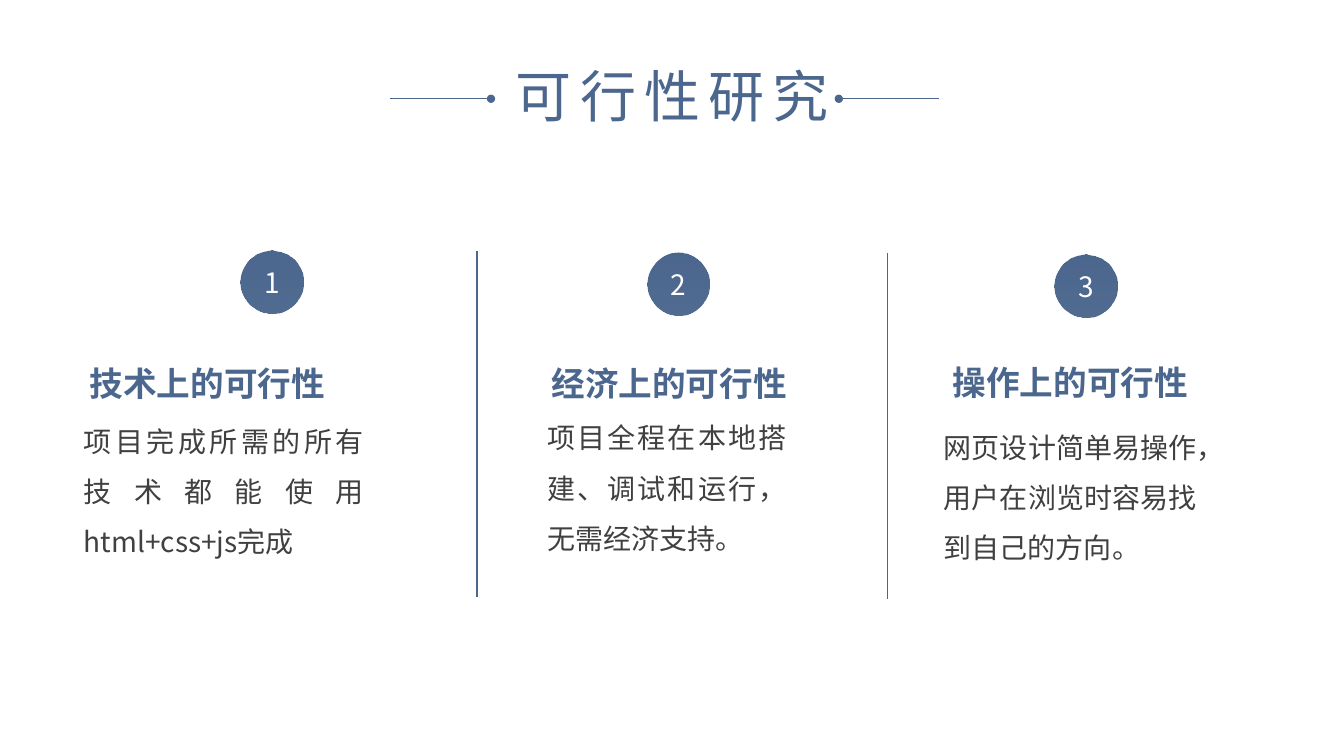
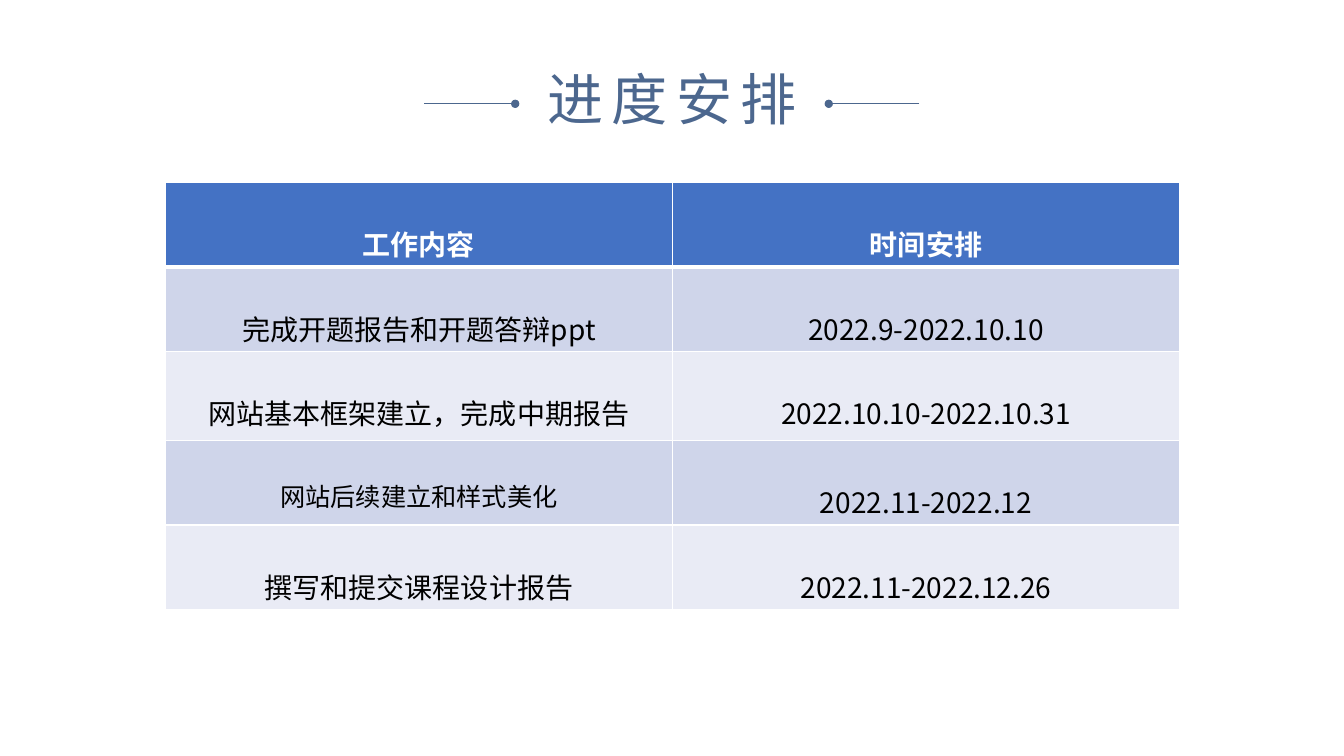
"""Build two slides: a feasibility study in three columns and a schedule table."""
import pptx
import pptx.dml.color
import pptx.enum.lang
import pptx.enum.shapes
import pptx.enum.text
import pptx.oxml
import pptx.oxml.ns
import pptx.util

Inches = pptx.util.Inches
Pt = pptx.util.Pt
Align = pptx.enum.text.PP_ALIGN
qn = pptx.oxml.ns.qn

FONT = "Noto Sans CJK SC"
BLUE = "4C678E"
GRAY = "404040"
WHITE = "FFFFFF"
BLACK = "000000"
HEADER_FILL = "4472C4"
BAND_FILLS = ("CFD5EA", "E9EBF5")

CIRCLE_SIZE = 0.62
COLUMNS = [
    {"circle": (2.39, 2.49), "heading": (0.89, 3.4, 2.75), "body": (0.83, 4.04, 2.78),
     "title": "技术上的可行性", "text": "项目完成所需的所有技术都能使用html+css+js完成"},
    {"circle": (6.42, 2.51), "heading": (5.47, 3.4, 2.58), "body": (5.43, 4.01, 2.37),
     "title": "经济上的可行性", "text": "项目全程在本地搭建、调试和运行，无需经济支持。"},
    {"circle": (10.46, 2.53), "heading": (9.45, 3.39, 2.36), "body": (9.36, 4.1, 2.51),
     "title": "操作上的可行性", "text": "网页设计简单易操作，用户在浏览时容易找到自己的方向。"},
]
DIVIDERS = [(4.73, 2.49), (8.8, 2.51)]
DIVIDER_HEIGHT = 3.43

SCHEDULE = [
    ("工作内容", "时间安排"),
    ("完成开题报告和开题答辩ppt", "2022.9-2022.10.10"),
    ("网站基本框架建立，完成中期报告", "2022.10.10-2022.10.31"),
    ("网站后续建立和样式美化", "2022.11-2022.12"),
    ("撰写和提交课程设计报告", "2022.11-2022.12.26"),
]
ROW_HEIGHTS = (0.84, 0.84, 0.88, 0.84, 0.84)
COLUMN_WIDTH = 5.03
SMALLER_CELL = (3, 0)


def color(value):
    """Turn a hex string into a colour."""
    return pptx.dml.color.RGBColor.from_string(value)


def add_child(parent, tag, **attributes):
    """Append an XML element with the given attributes."""
    child = pptx.oxml.parse_xml(f"<{tag} {pptx.oxml.ns.nsdecls('a')}/>")
    for name, value in attributes.items():
        child.set(name, str(value))
    parent.append(child)
    return child


def write(frame, text, size, text_color, alignment, bold=False, line_spacing=None, tracking=0):
    """Write one run into the first paragraph of a text frame."""
    paragraph = frame.paragraphs[0]
    paragraph.alignment = alignment
    if line_spacing:
        paragraph.line_spacing = line_spacing
    run = paragraph.add_run()
    run.text = text
    font = run.font
    font.size = Pt(size)
    font.bold = bold
    font.color.rgb = color(text_color)
    font.name = FONT
    font.language_id = pptx.enum.lang.MSO_LANGUAGE_ID.SIMPLIFIED_CHINESE
    properties = run._r.get_or_add_rPr()
    add_child(properties, "a:ea", typeface=FONT)
    if tracking:
        properties.set("spc", str(tracking * 100))


def set_margins(frame, margin):
    """Give a text frame the same margin on every side."""
    frame.margin_left = frame.margin_right = Inches(margin)
    frame.margin_top = frame.margin_bottom = Inches(margin)


def add_text(slide, left, top, width, height):
    """Add a wrapping text box and return its frame."""
    box = slide.shapes.add_textbox(Inches(left), Inches(top), Inches(width), Inches(height))
    frame = box.text_frame
    frame.word_wrap = True
    frame.auto_size = pptx.enum.text.MSO_AUTO_SIZE.SHAPE_TO_FIT_TEXT
    return frame


def add_line(slide, start, end, width, dot=False):
    """Add a straight line, with a dot at its end when asked."""
    connector = slide.shapes.add_connector(
        pptx.enum.shapes.MSO_CONNECTOR.STRAIGHT, *(Inches(value) for value in start + end))
    connector.line.color.rgb = color(BLUE)
    connector.line.width = Pt(width)
    if dot:
        add_child(connector.line._get_or_add_ln(), "a:tailEnd", type="oval")
    add_child(connector._element.spPr, "a:effectLst")


def add_title(slide, text, left, top, width, line_y, line_spans):
    """Add the slide title between two dotted lines."""
    frame = add_text(slide, left, top, width, 0.77)
    write(frame, text, 40, BLUE, Align.CENTER, tracking=6)
    for outer, inner in line_spans:
        add_line(slide, (outer, line_y), (inner, line_y), 0.5, dot=True)


def add_number(slide, number, left, top):
    """Add a numbered circle with a slight gradient."""
    circle = slide.shapes.add_shape(
        pptx.enum.shapes.MSO_SHAPE.OVAL, Inches(left), Inches(top),
        Inches(CIRCLE_SIZE), Inches(CIRCLE_SIZE))
    circle.shadow.inherit = False
    circle.line.fill.background()
    circle.fill.gradient()
    circle.fill.gradient_angle = 270
    for stop in circle.fill.gradient_stops:
        stop.color.rgb = color(BLUE)
    last_color = list(circle._element.spPr.iter(qn("a:srgbClr")))[-1]
    add_child(last_color, "a:alpha", val=97000)
    frame = circle.text_frame
    frame.vertical_anchor = pptx.enum.text.MSO_ANCHOR.MIDDLE
    write(frame, str(number), 20, WHITE, Align.CENTER)


def add_column(slide, number, column):
    """Add a numbered column with heading and body."""
    add_number(slide, number, *column["circle"])
    heading = add_text(slide, *column["heading"], 0.61)
    body = add_text(slide, *column["body"], 1.51)
    for frame in (heading, body):
        set_margins(frame, 0)
    write(heading, column["title"], 24, BLUE, Align.JUSTIFY, bold=True, line_spacing=1.5)
    write(body, column["text"], 20, GRAY, Align.JUSTIFY, line_spacing=1.5)


def set_borders(cell, top, bottom):
    """Draw white borders round a cell, widths in points."""
    properties = cell._tc.get_or_add_tcPr()
    for side, width in (("L", 1), ("R", 1), ("T", top), ("B", bottom)):
        line = add_child(properties, f"a:ln{side}", w=Pt(width))
        add_child(add_child(line, "a:solidFill"), "a:srgbClr", val=WHITE)


def add_schedule(slide, left, top):
    """Add the schedule table with a header and banded rows."""
    shape = slide.shapes.add_table(
        len(SCHEDULE), 2, Inches(left), Inches(top),
        Inches(2 * COLUMN_WIDTH), Inches(sum(ROW_HEIGHTS)))
    table = shape.table
    for column in table.columns:
        column.width = Inches(COLUMN_WIDTH)
    for row_index, texts in enumerate(SCHEDULE):
        table.rows[row_index].height = Inches(ROW_HEIGHTS[row_index])
        header = row_index == 0
        for column_index, text in enumerate(texts):
            cell = table.cell(row_index, column_index)
            cell.margin_top = cell.margin_bottom = 0
            set_borders(cell, 3 if row_index == 1 else 1, 3 if header else 1)
            cell.fill.solid()
            cell.fill.fore_color.rgb = color(
                HEADER_FILL if header else BAND_FILLS[(row_index - 1) % 2])
            size = 18 if (row_index, column_index) == SMALLER_CELL else 20
            write(cell.text_frame, text, size, WHITE if header else BLACK, Align.CENTER,
                  bold=header, line_spacing=2.0)


def build_feasibility(slide):
    """Build the three-column feasibility slide."""
    add_title(slide, "可行性研究", 4.87, 0.56, 3.6, 0.98, [(3.87, 4.87), (9.31, 8.32)])
    for number, column in enumerate(COLUMNS, 1):
        add_column(slide, number, column)
    for x, top in DIVIDERS:
        add_line(slide, (x, top), (x, top + DIVIDER_HEIGHT), 1)


def build_schedule(slide):
    """Build the schedule slide."""
    add_title(slide, "进度安排", 5.16, 0.59, 3.01, 1.03, [(4.21, 5.11), (9.12, 8.22)])
    add_schedule(slide, 1.64, 1.81)


def main():
    """Build and save the presentation."""
    presentation = pptx.Presentation()
    presentation.slide_width = Inches(13.33)
    presentation.slide_height = Inches(7.5)
    for build in (build_feasibility, build_schedule):
        build(presentation.slides.add_slide(presentation.slide_layouts[6]))
    presentation.save("out.pptx")


if __name__ == "__main__":
    main()
